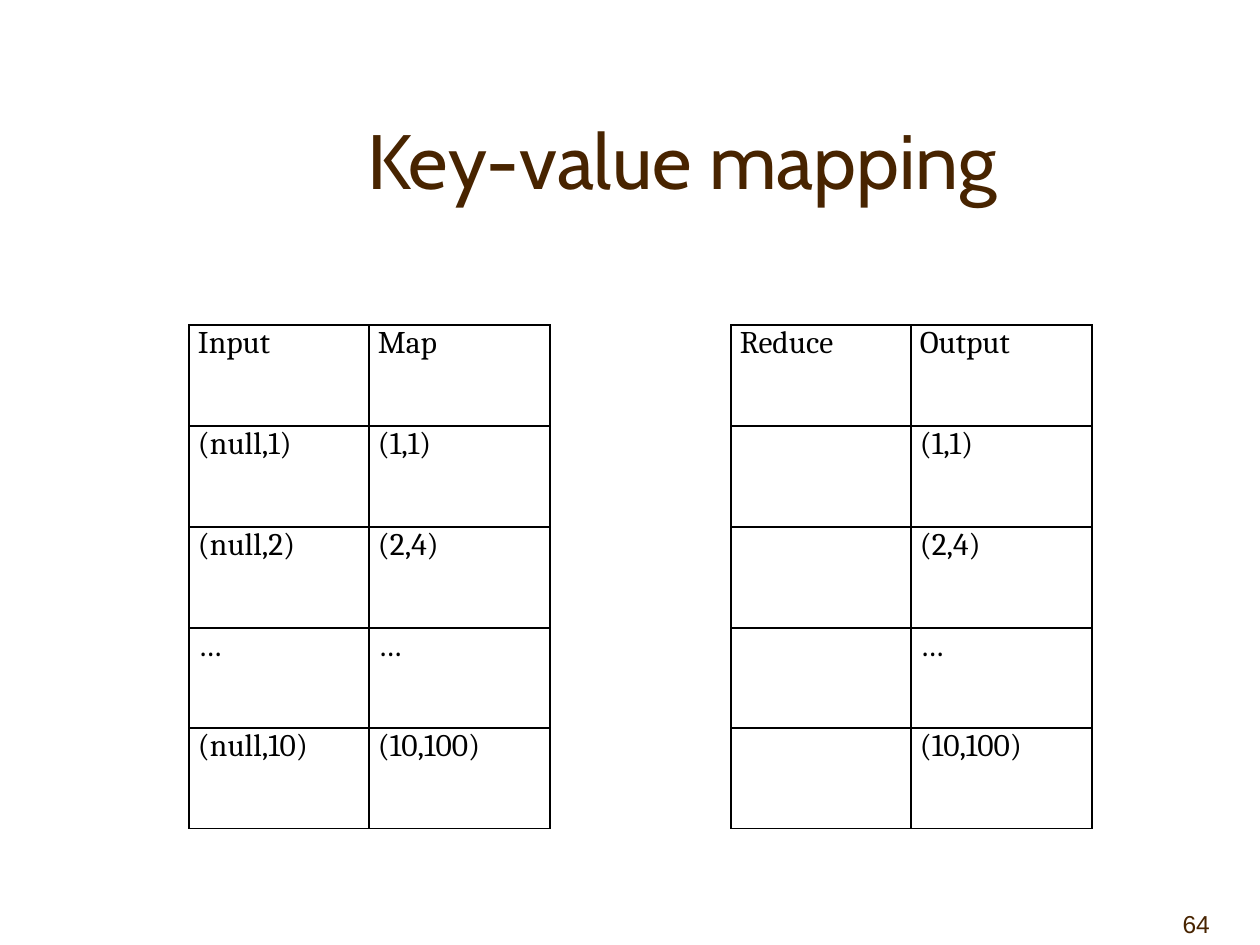
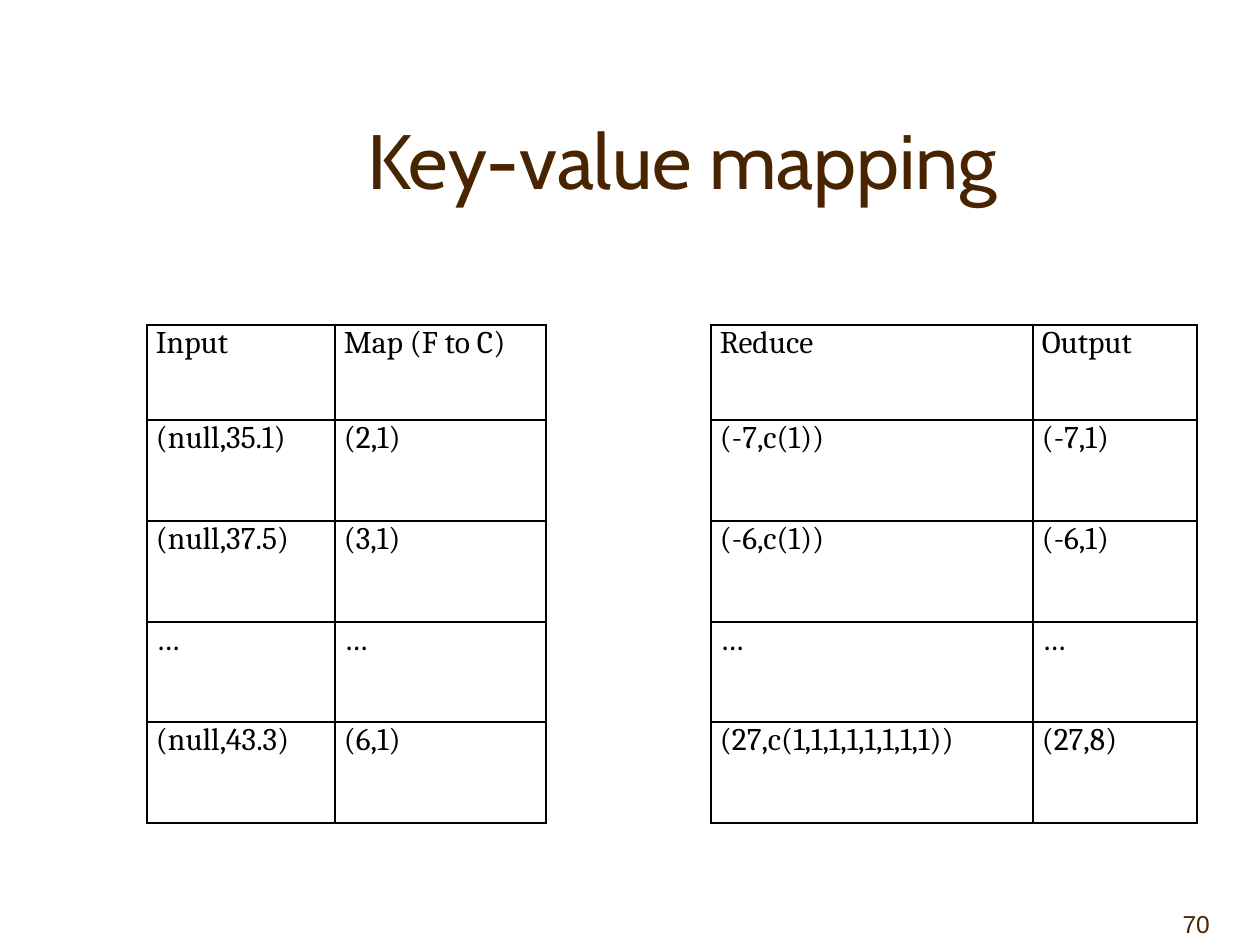
import pptx
import pptx.dml.color
import pptx.enum.text
import pptx.oxml
import pptx.oxml.ns
import pptx.util

BROWN = pptx.dml.color.RGBColor(0x48, 0x24, 0x00)
BLACK = pptx.dml.color.RGBColor(0, 0, 0)
WHITE = pptx.dml.color.RGBColor(255, 255, 255)

TITLE = "Key-value mapping"
GAP_COLUMN = 2
MAPPINGS = [
    {
        "number": "64",
        "column_edges": (189, 369, 550, 731, 911, 1092),
        "row_edges": (325, 426, 527, 628, 728, 829),
        "rows": [
            ("Input", "Map", "", "Reduce", "Output"),
            ("(null,1)", "(1,1)", "", "", "(1,1)"),
            ("(null,2)", "(2,4)", "", "", "(2,4)"),
            ("…", "…", "", "", "…"),
            ("(null,10)", "(10,100)", "", "", "(10,100)"),
        ],
    },
    {
        "number": "70",
        "column_edges": (147, 335, 546, 711, 1033, 1197),
        "row_edges": (325, 420, 521, 622, 722, 823),
        "rows": [
            ("Input", "Map (F to C)", "", "Reduce", "Output"),
            ("(null,35.1)", "(2,1)", "", "(-7,c(1))", "(-7,1)"),
            ("(null,37.5)", "(3,1)", "", "(-6,c(1))", "(-6,1)"),
            ("…", "…", "", "…", "…"),
            ("(null,43.3)", "(6,1)", "", "(27,c(1,1,1,1,1,1,1,1))", "(27,8)"),
        ],
    },
]

EMU_PER_PX = 914400 // 126
SLIDE_SIZE = (1260, 945)
TITLE_AREA = (147, 53, 1071, 158)
NUMBER_AREA = (1134, 882, 126, 63)
NUMBER_INSET = 50
CELL_INSET = 9
BORDER = pptx.util.Pt(1)
NO_GRID_STYLE = "{2D5ABB26-0587-4C30-8999-92F81FD0307C}"

ALIGN = pptx.enum.text.PP_ALIGN
TITLE_FONT = {"name": "Cabin", "size": pptx.util.Pt(44), "bold": False}
NUMBER_FONT = {"name": "Arial", "size": pptx.util.Pt(14)}
CELL_FONT = {"name": "Cambria", "size": pptx.util.Pt(18)}
BOTTOM_FRAME = {
    "word_wrap": True,
    "vertical_anchor": pptx.enum.text.MSO_ANCHOR.BOTTOM,
    "auto_size": pptx.enum.text.MSO_AUTO_SIZE.NONE,
}


def px(length):
    return pptx.util.Emu(length * EMU_PER_PX)


def set_all(target, values):
    for name, value in values.items():
        setattr(target, name, value)


def write(frame, text, font, color, align=ALIGN.LEFT):
    para = frame.paragraphs[0]
    para.alignment = align
    span = para.add_run()
    span.text = text
    set_all(span.font, font)
    span.font.color.rgb = color


def place(box, area):
    set_all(box, dict(zip(("left", "top", "width", "height"), map(px, area))))


def add_title(page):
    box = page.shapes.title
    place(box, TITLE_AREA)
    set_all(box.text_frame, BOTTOM_FRAME)
    write(box.text_frame, TITLE, TITLE_FONT, BROWN, ALIGN.CENTER)


def add_number(page, number):
    box = page.shapes.add_textbox(*map(px, NUMBER_AREA))
    set_all(box.text_frame, BOTTOM_FRAME)
    box.text_frame.margin_right = px(NUMBER_INSET)
    write(box.text_frame, number, NUMBER_FONT, BROWN, ALIGN.RIGHT)


def set_borders(cell, visible_sides):
    properties = cell._tc.get_or_add_tcPr()
    namespace = pptx.oxml.ns.nsdecls("a")
    for side in "LRTB":
        paint = "<a:noFill/>"
        if side in visible_sides:
            paint = f'<a:solidFill><a:srgbClr val="{BLACK}"/></a:solidFill>'
        properties.append(pptx.oxml.parse_xml(
            f'<a:ln{side} {namespace} w="{BORDER}">{paint}</a:ln{side}>'))


def sizes(edges):
    return [end - start for start, end in zip(edges, edges[1:])]


def add_mapping(page, mapping):
    columns, rows = mapping["column_edges"], mapping["row_edges"]
    area = (columns[0], rows[0], columns[-1] - columns[0], rows[-1] - rows[0])
    table = page.shapes.add_table(len(rows) - 1, len(columns) - 1, *map(px, area)).table
    set_all(table, {"first_row": False, "horz_banding": False})
    table._tbl.tblPr.find(pptx.oxml.ns.qn("a:tableStyleId")).text = NO_GRID_STYLE
    for column, width in zip(table.columns, sizes(columns)):
        column.width = px(width)
    for row, height in zip(table.rows, sizes(rows)):
        row.height = px(height)
    for row, texts in zip(table.rows, mapping["rows"]):
        for index, (cell, text) in enumerate(zip(row.cells, texts)):
            if index == GAP_COLUMN:
                set_borders(cell, "LR")
                cell.fill.background()
                continue
            set_all(cell, {"margin_left": px(CELL_INSET), "margin_right": px(CELL_INSET),
                           "margin_top": 0, "margin_bottom": 0})
            set_borders(cell, "LRTB")
            cell.fill.solid()
            cell.fill.fore_color.rgb = WHITE
            if text:
                write(cell.text_frame, text, CELL_FONT, BLACK)


def main():
    deck = pptx.Presentation()
    deck.slide_width, deck.slide_height = map(px, SLIDE_SIZE)
    title_only = deck.slide_layouts[5]
    for mapping in MAPPINGS:
        page = deck.slides.add_slide(title_only)
        add_title(page)
        add_number(page, mapping["number"])
        add_mapping(page, mapping)
    deck.save("out.pptx")


if __name__ == "__main__":
    main()
